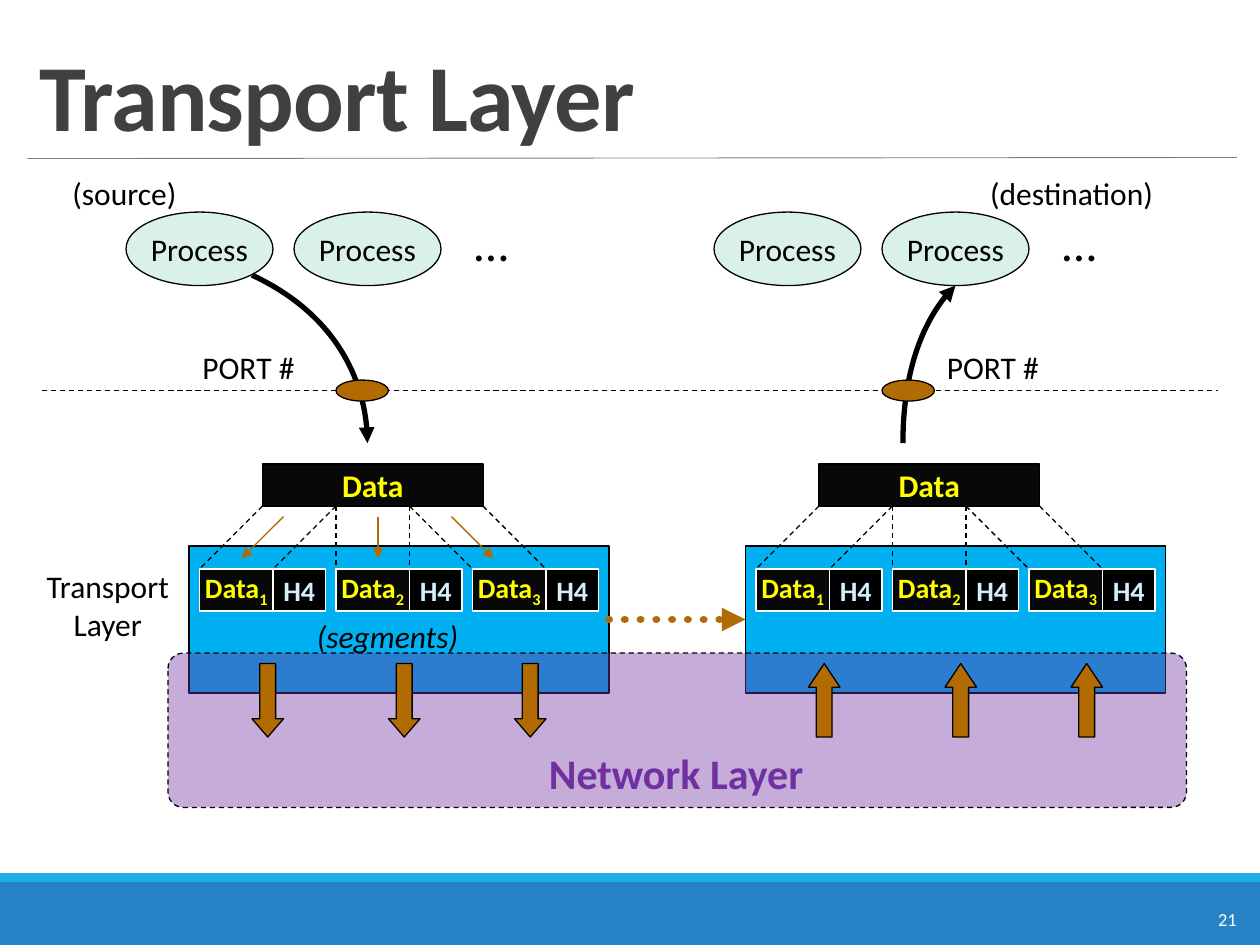
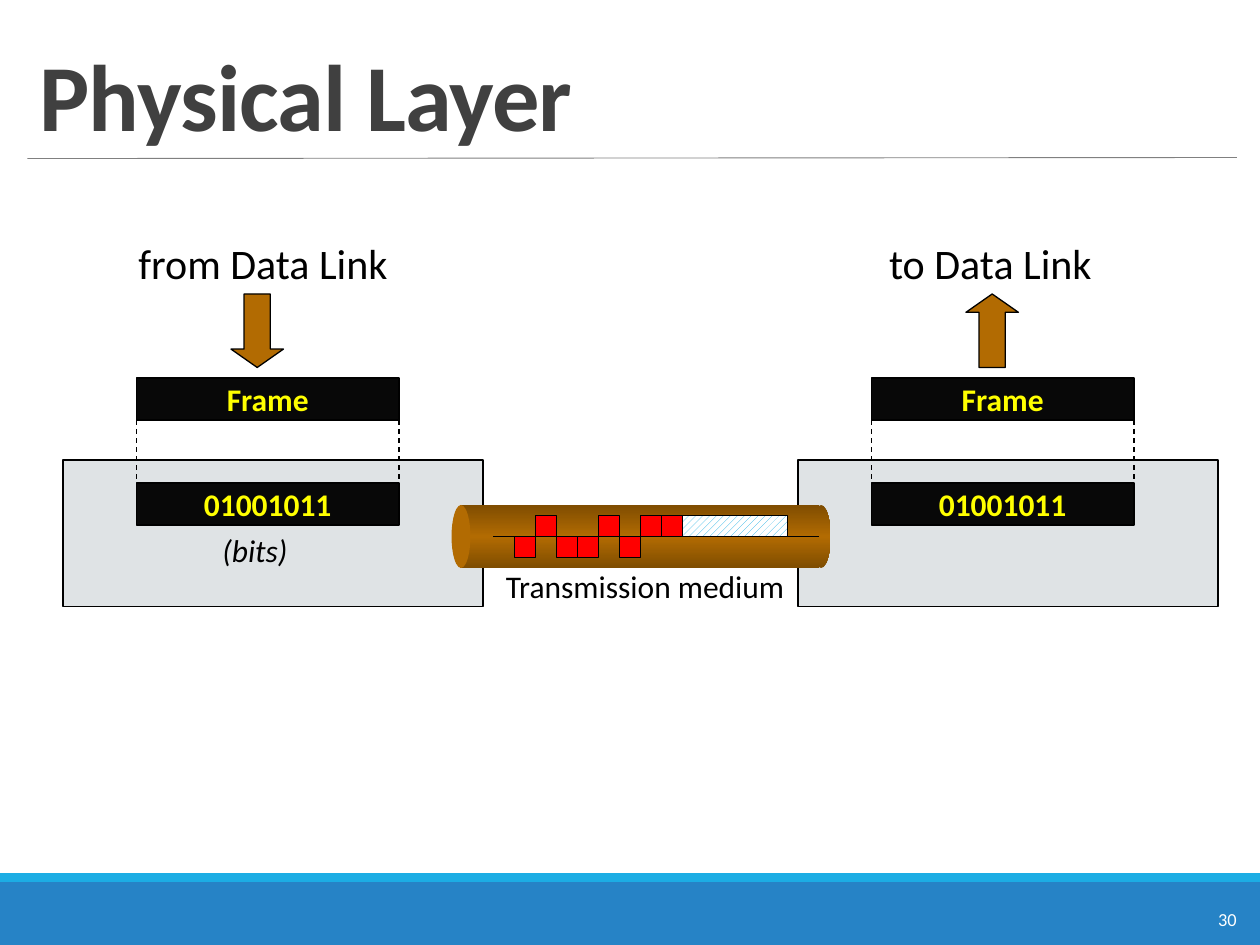
from copy import deepcopy

from lxml import etree
from pptx import Presentation
from pptx import util as u
from pptx.dml.color import RGBColor
from pptx.enum import dml, shapes, text
from pptx.oxml.ns import qn

CELL = u.Inches(1) / 12
COLUMNS, ROWS = 120, 90
FONT = "Calibri"

BLACK = RGBColor(0x00, 0x00, 0x00)
WHITE = RGBColor(0xFF, 0xFF, 0xFF)
INK = RGBColor(0x08, 0x08, 0x08)
TITLE_GRAY = RGBColor(0x40, 0x40, 0x40)
RULE_GRAY = RGBColor(0x80, 0x80, 0x80)
BAND_BLUE = RGBColor(0x26, 0x83, 0xC6)
ACCENT_BLUE = RGBColor(0x1C, 0xAD, 0xE4)
LAYER_BLUE = RGBColor(0x00, 0xB0, 0xF0)
HEADER_BLUE = RGBColor(0xD2, 0xEF, 0xFA)
STATION_GRAY = RGBColor(0xDF, 0xE3, 0xE5)
PROCESS_GREEN = RGBColor(0xD9, 0xF1, 0xEA)
BROWN = RGBColor(0xB2, 0x6B, 0x02)
DARK_BROWN = RGBColor(0x7F, 0x4D, 0x01)
YELLOW = RGBColor(0xFF, 0xFF, 0x00)
PURPLE = RGBColor(0x70, 0x30, 0xA0)
RED = RGBColor(0xFF, 0x00, 0x00)

KIND = shapes.MSO_SHAPE
ALIGN = text.PP_ALIGN
DASH = dml.MSO_LINE.DASH
DOTS = dml.MSO_LINE.ROUND_DOT


def cells(*values):
    return [round(value * CELL) for value in values]


def style_line(line, color, width, dash=None, arrow=False):
    line.color.rgb = color
    line.width = u.Pt(width)
    if dash:
        line.dash_style = dash
    if arrow:
        etree.SubElement(line._get_or_add_ln(), qn("a:tailEnd"), type="triangle")


def write(shape, words, size, color, bold=False, italic=False,
          align=ALIGN.CENTER, subscript=""):
    frame = shape.text_frame
    frame.word_wrap = False
    frame.text = words
    paragraph = frame.paragraphs[0]
    paragraph.alignment = align
    font = paragraph.font
    font.name, font.size, font.color.rgb = FONT, u.Pt(size), color
    font.bold, font.italic = bold, italic
    if subscript:
        run = paragraph.add_run()
        run.text = subscript
        run.font._element.set("baseline", "-25000")
    return paragraph


def add_block(slide, box, fill, outline=BLACK, kind=KIND.RECTANGLE, dash=None):
    shape = slide.shapes.add_shape(kind, *cells(*box))
    shape.shadow.inherit = False
    if fill is not None:
        shape.fill.solid()
        shape.fill.fore_color.rgb = fill
    if outline is None:
        shape.line.fill.background()
    else:
        style_line(shape.line, outline, 0.75, dash)
    return shape


def add_label(slide, box, words, size=18, color=BLACK, **options):
    label = slide.shapes.add_textbox(*cells(*box))
    label.text_frame.auto_size = text.MSO_AUTO_SIZE.SHAPE_TO_FIT_TEXT
    options.setdefault("align", ALIGN.LEFT)
    write(label, words, size, color, **options)


def add_line(slide, start, end, color=BLACK, width=0.75, dash=None, arrow=False):
    line = slide.shapes.add_connector(shapes.MSO_CONNECTOR.STRAIGHT,
                                      *cells(*start, *end))
    style_line(line.line, color, width, dash, arrow)
    etree.SubElement(line._element.spPr, qn("a:effectLst"))
    return line


def add_curved_arrow(slide, start, *bends_and_end):
    builder = slide.shapes.build_freeform(*cells(*start))
    builder.add_line_segments([cells(*point) for point in bends_and_end], close=False)
    curve = builder.convert_to_shape()
    curve.shadow.inherit = False
    curve.fill.background()
    style_line(curve.line, BLACK, 3, arrow=True)
    outline = curve._element.xpath(".//a:path")[0]
    bezier = etree.SubElement(outline, qn("a:cubicBezTo"))
    for segment in outline.findall(qn("a:lnTo")):
        bezier.append(segment[0])
        outline.remove(segment)


def add_block_arrow(slide, box, upward, head):
    kind = KIND.UP_ARROW if upward else KIND.DOWN_ARROW
    arrow = add_block(slide, box, BROWN, kind=kind)
    arrow.adjustments[1] = head


def add_dark_block(slide, box, words):
    write(add_block(slide, box, INK), words, 18, YELLOW, bold=True)


def add_base(presentation, title, number):
    slide = presentation.slides.add_slide(presentation.slide_layouts[6])
    add_block(slide, (0, 84, COLUMNS, 6), BAND_BLUE, None)
    add_block(slide, (0, 83.16, COLUMNS, 0.84), ACCENT_BLUE, None)
    add_line(slide, (2.6, 15.1), (117.8, 15), RULE_GRAY, 0.5)
    add_label(slide, (114.84, 85.9, 4.4, 3.4), number, 10.5, WHITE)
    heading = slide.shapes.add_textbox(*cells(2.6, 3, 115.2, 12))
    heading.text_frame.vertical_anchor = text.MSO_ANCHOR.BOTTOM
    paragraph = write(heading, title, 54, TITLE_GRAY, bold=True, align=ALIGN.LEFT)
    heading.text_frame.word_wrap = True
    paragraph.line_spacing = 0.85
    paragraph.font._element.set("spc", "-50")
    return slide


def add_transport_host(slide, left):
    host = add_block(slide, (left, 52, 40, 14), LAYER_BLUE)
    add_dark_block(slide, (left + 7, 44.2, 21, 4), "Data")
    for index in range(3):
        piece, segment = left + 7 + 7 * index, left + 1 + 13 * index
        data = add_block(slide, (segment, 54.2, 7, 4), INK, WHITE)
        write(data, "Data", 16, YELLOW, bold=True, subscript=str(index + 1))
        header = add_block(slide, (segment + 7, 54.2, 5, 4), BLACK, WHITE)
        write(header, "H4", 16, HEADER_BLUE, bold=True)
        for edge in (0, 7):
            add_line(slide, (piece + edge, 48.2), (segment + edge, 54.2), dash=DASH)
    return host


def add_processes(slide, left):
    for column in (left, left + 16):
        process = add_block(slide, (column, 20.2, 14, 7), PROCESS_GREEN, kind=KIND.OVAL)
        write(process, "Process", 18, BLACK)
    add_label(slide, (left + 32, 19.6, 6.2, 6.8), "…", 28)


def add_port(slide, left, label_left):
    add_label(slide, (label_left, 32.6, 13, 4.8), "PORT #")
    add_block(slide, (left, 36.2, 5, 2), BROWN, kind=KIND.OVAL)


def build_transport(presentation):
    slide = add_base(presentation, "Transport Layer", "21")
    add_line(slide, (4, 37.2), (116, 37.2), dash=DASH)
    add_label(slide, (2.64, 53.4, 15.24, 8.4), "Transport\vLayer", align=ALIGN.CENTER)
    source, destination = [add_transport_host(slide, left) for left in (18, 71)]
    for start, end in ((27, 23), (36, 36), (43, 47)):
        add_line(slide, (start, 49.2), (end, 53.2), BROWN, arrow=True)
    add_label(slide, (29, 58.2, 17.4, 4.8), "(segments)", italic=True)
    for left in (12, 68):
        add_processes(slide, left)
    add_curved_arrow(slide, (24, 26.2), (30.7, 29.3), (35, 35.4), (35, 42.2))
    add_port(slide, 32, 18.1)
    add_curved_arrow(slide, (86, 42.2), (86, 35.9), (88, 30), (91, 27.2))
    add_port(slide, 84, 89)

    flow = add_line(slide, (58, 59), (71, 59), BROWN, 4.5, DOTS, arrow=True)
    flow.line._get_or_add_ln().set("cap", "rnd")
    flow.begin_connect(source, 3)
    flow.end_connect(destination, 1)

    network = add_block(slide, (16, 62.2, 97, 14.7), PURPLE,
                        kind=KIND.ROUNDED_RECTANGLE, dash=DASH)
    network.adjustments[0] = 0.1
    tint = network._element.spPr.find(qn("a:solidFill"))[0]
    etree.SubElement(tint, qn("a:alpha"), val="40000")
    for left, upward, head in ((24, False, 0.58), (77, True, 0.75)):
        for offset in (0, 13, 25):
            add_block_arrow(slide, (left + offset, 63.2, 3, 7), upward, head)
    add_label(slide, (51.1, 70.6, 26.9, 6), "Network Layer", 24, PURPLE, bold=True)
    add_label(slide, (5.6, 16, 12.5, 4.8), "(source)", align=ALIGN.CENTER)
    add_label(slide, (93, 16, 18.1, 4.8), "(destination)", align=ALIGN.CENTER)


def add_station(slide, left, upward):
    add_block(slide, (left, 43.8, 40, 14), STATION_GRAY)
    add_dark_block(slide, (left + 7, 36, 25, 4), "Frame")
    add_block_arrow(slide, (left + 16, 28, 5, 7), upward, 0.35)
    for column in (left + 7, left + 32):
        add_line(slide, (column, 40), (column, 46), dash=DASH)
    add_dark_block(slide, (left + 7, 46, 25, 4), "01001011")


def shade_cable(shape):
    fill = shape.fill
    fill.gradient()
    fill.gradient_angle = 90
    stops = shape._element.xpath(".//a:gsLst")[0]
    stops.insert(1, deepcopy(stops[0]))
    for stop, position, color in zip(fill.gradient_stops, (0, 0.5, 1),
                                     (DARK_BROWN, BROWN, DARK_BROWN)):
        stop.position = position
        stop.color.rgb = color


def add_cable(slide):
    shade_cable(add_block(slide, (77.3, 48.1, 1.8, 6), None, None, KIND.OVAL))
    shade_cable(add_block(slide, (43.8, 48.1, 34.2, 6), None, None))
    add_block(slide, (43, 48.1, 1.8, 6), BROWN, None, KIND.OVAL)


def add_signal(slide, bits):
    add_line(slide, (47, 51.1), (78, 51.1))
    for index, bit in enumerate(bits):
        top = 49.1 if bit == "1" else 51.1
        add_block(slide, (49 + 2 * index, top, 2, 2), RED)
    idle = add_block(slide, (49 + 2 * len(bits), 49.1, 10, 2), None)
    idle.fill.patterned()
    idle.fill.pattern = dml.MSO_PATTERN.WIDE_UPWARD_DIAGONAL
    idle.fill.fore_color.rgb = ACCENT_BLUE
    idle.fill.back_color.rgb = WHITE


def build_physical(presentation):
    slide = add_base(presentation, "Physical Layer", "30")
    add_station(slide, 6, False)
    add_station(slide, 76, True)
    add_label(slide, (12, 22, 26.4, 6), "from Data Link", 24)
    add_label(slide, (83.5, 22, 21.8, 6), "to Data Link", 24)
    add_cable(slide)
    add_label(slide, (47, 53.4, 29.3, 4.8), "Transmission medium")
    add_signal(slide, "01001011")
    add_label(slide, (20, 50, 9.4, 4.8), "(bits)", italic=True)


def main():
    presentation = Presentation()
    presentation.slide_width, presentation.slide_height = cells(COLUMNS, ROWS)
    build_transport(presentation)
    build_physical(presentation)
    presentation.save("out.pptx")


if __name__ == "__main__":
    main()
